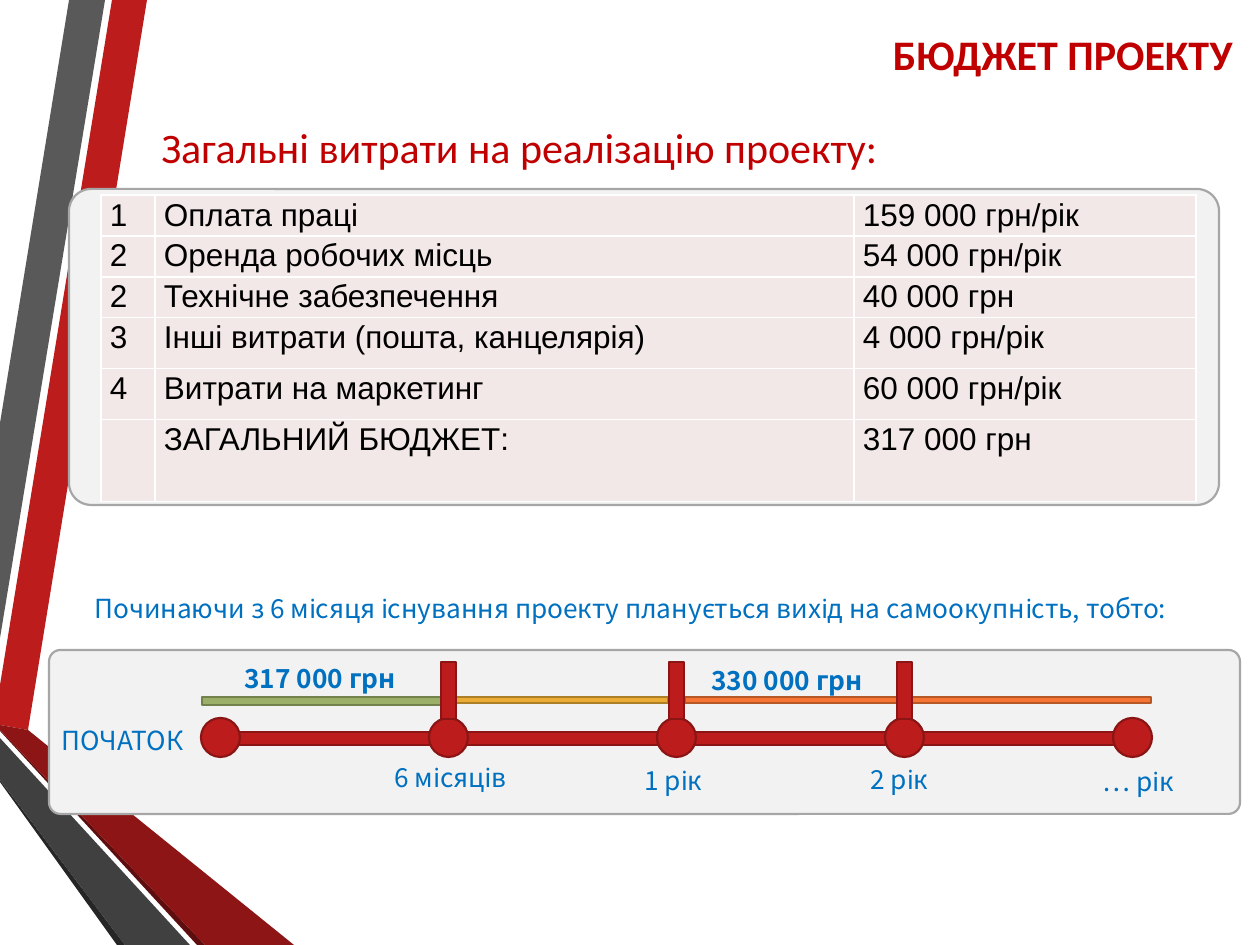
from lxml.etree import SubElement
from pptx import Presentation
from pptx.dml.color import RGBColor
from pptx.enum.shapes import MSO_SHAPE as Shape
from pptx.enum.text import MSO_AUTO_SIZE as AutoSize, PP_ALIGN as Align
from pptx.oxml.ns import qn
from pptx.util import Emu, Pt

EMU_PER_PX = 914400 / 126
COLORS = {
    "red": "BC1C1C", "red_line": "8B1515", "maroon": "8D1515", "dark_maroon": "5E0E0E",
    "gray": "595959", "charcoal": "404040", "dark": "262626",
    "panel": "F2F2F2", "panel_line": "A6A6A6", "title": "C00000", "blue": "0070C0",
    "green": "9BAF68", "green_line": "73814D", "yellow": "EAAC35", "yellow_line": "AD7F27",
    "orange": "F67534", "orange_line": "B65726",
    "cell": "F3E8E8", "white": "FFFFFF", "black": "000000",
}
RIBBONS = [
    ("red", [(0, 685), (0, 725), (28, 730), (147, 0), (112, 0)]),
    ("gray", [(105, 0), (69, 0), (0, 423), (0, 638)]),
    ("dark", [(0, 780), (0, 782), (117, 945), (125, 945)]),
    ("dark_maroon", [(0, 730), (0, 731), (197, 945), (205, 945)]),
    ("maroon", [(0, 730), (205, 945), (294, 945), (28, 730), (0, 725)]),
    ("charcoal", [(0, 780), (125, 945), (190, 945), (0, 738)]),
]
BUDGET = [
    ("1", "Оплата праці", "159 000 грн/рік"),
    ("2", "Оренда робочих місць", "54 000 грн/рік"),
    ("2", "Технічне забезпечення", "40 000 грн"),
    ("3", "Інші витрати (пошта, канцелярія)", "4 000 грн/рік"),
    ("4", "Витрати на маркетинг", "60 000 грн/рік"),
    ("", "ЗАГАЛЬНИЙ БЮДЖЕТ:", "317 000 грн"),
]
COLUMN_WIDTHS = [54, 699, 342]
ROW_HEIGHTS = [41, 41, 40, 51, 51, 82]
TIMELINE_LABELS = [
    ("ПОЧАТОК", 49, 718, 183, False),
    ("6 місяців", 382, 755, 183, False),
    ("1 рік", 632, 758, 106, False),
    ("2 рік", 858, 757, 106, False),
    ("… рік", 1090, 759, 106, False),
    ("317 000 грн", 232, 656, 188, True),
    ("330 000 грн", 699, 658, 188, True),
]
SEGMENTS = [("green", 202, 247, 8), ("yellow", 455, 213, 6), ("orange", 685, 466, 6)]
FIRST_STOP, STOP_GAP, STOP_COUNT = 220, 228, 5
DOT_SIZE, TICK_WIDTH = 39, 15


def px(length):
    return Emu(round(length * EMU_PER_PX))


def rgb(name):
    return RGBColor.from_string(COLORS[name])


def add_ribbon(page, color, points):
    builder = page.shapes.build_freeform(*points[0], scale=EMU_PER_PX)
    builder.add_line_segments(points[1:], close=True)
    ribbon = builder.convert_to_shape()
    ribbon.shadow.inherit = False
    ribbon.fill.solid()
    ribbon.fill.fore_color.rgb = rgb(color)
    ribbon.line.fill.background()


def add_block(page, kind, left, top, width, height, color):
    """Add a filled shape whose outline uses the matching line colour."""
    block = page.shapes.add_shape(kind, px(left), px(top), px(width), px(height))
    block.shadow.inherit = False
    block.fill.solid()
    block.fill.fore_color.rgb = rgb(color)
    block.line.color.rgb = rgb(color + "_line")
    block.line.width = Pt(1.25)
    return block


def add_panel(page, left, top, width, height):
    panel = add_block(page, Shape.ROUNDED_RECTANGLE, left, top, width, height, "panel")
    panel.adjustments[0] = 0.07


def write(para, text, *, size, font, color, bold=False, align=None):
    para.alignment = align
    span = para.add_run()
    span.text = text
    span.font.size = Pt(size)
    span.font.name = font
    span.font.bold = bold
    span.font.color.rgb = rgb(color)


def add_text(page, text, left, top, width, height, **style):
    box = page.shapes.add_textbox(px(left), px(top), px(width), px(height))
    box.text_frame.word_wrap = True
    box.text_frame.auto_size = AutoSize.SHAPE_TO_FIT_TEXT
    write(box.text_frame.paragraphs[0], text, **style)


def add_note(page, text, left, top, width, bold=False):
    add_text(page, text, left, top, width, 44, size=15, font="Noto Sans CJK SC",
             color="blue", bold=bold, align=Align.JUSTIFY)


def set_borders(cell, color):
    properties = cell._tc.get_or_add_tcPr()
    for side in ("lnL", "lnR", "lnT", "lnB"):
        line = SubElement(properties, qn(f"a:{side}"), w=str(Pt(1)))
        fill = SubElement(line, qn("a:solidFill"))
        SubElement(fill, qn("a:srgbClr"), val=COLORS[color])


def fill_cell(cell, text):
    cell.margin_left = cell.margin_right = px(9)
    cell.margin_top = cell.margin_bottom = 0
    set_borders(cell, "white")
    cell.fill.solid()
    cell.fill.fore_color.rgb = rgb("cell")
    if text:
        para = cell.text_frame.paragraphs[0]
        para.line_spacing = 1.07
        write(para, text, size=18, font="Arial", color="black")


def add_budget_table(page, left, top):
    table = page.shapes.add_table(len(BUDGET), len(COLUMN_WIDTHS), px(left), px(top),
                                  px(sum(COLUMN_WIDTHS)), px(sum(ROW_HEIGHTS))).table
    table.first_row = table.horz_banding = False
    for column, width in zip(table.columns, COLUMN_WIDTHS):
        column.width = px(width)
    for row, height, texts in zip(table.rows, ROW_HEIGHTS, BUDGET):
        row.height = px(height)
        for cell, text in zip(row.cells, texts):
            fill_cell(cell, text)


def add_timeline(page):
    add_block(page, Shape.RECTANGLE, 210, 732, 932, 13, "red")
    stops = [FIRST_STOP + STOP_GAP * index for index in range(STOP_COUNT)]
    for center in stops:
        add_block(page, Shape.OVAL, center - DOT_SIZE // 2, 718, DOT_SIZE, DOT_SIZE, "red")
    for color, left, width, height in SEGMENTS:
        add_block(page, Shape.RECTANGLE, left, 697, width, height, color)
    for center in stops[1:-1]:
        add_block(page, Shape.RECTANGLE, center - TICK_WIDTH // 2, 662, TICK_WIDTH, 57, "red")
    for label in TIMELINE_LABELS:
        add_note(page, *label)


def main():
    deck = Presentation()
    deck.slide_width, deck.slide_height = px(1260), px(945)
    page = deck.slides.add_slide(deck.slide_layouts[6])
    for color, points in RIBBONS:
        add_ribbon(page, color, points)
    add_panel(page, 49, 650, 1191, 164)
    add_panel(page, 69, 189, 1150, 316)
    heading = {"size": 24, "font": "Calibri", "color": "title"}
    add_text(page, "БЮДЖЕТ ПРОЕКТУ", 720, 22, 525, 63, bold=True, align=Align.RIGHT, **heading)
    add_text(page, "Загальні витрати на реалізацію проекту:", 149, 115, 943, 63, **heading)
    add_budget_table(page, 101, 195)
    add_note(page, "Починаючи з 6 місяця існування проекту планується вихід на самоокупність, тобто:",
             82, 586, 1124)
    add_timeline(page)
    deck.save("out.pptx")


if __name__ == "__main__":
    main()
